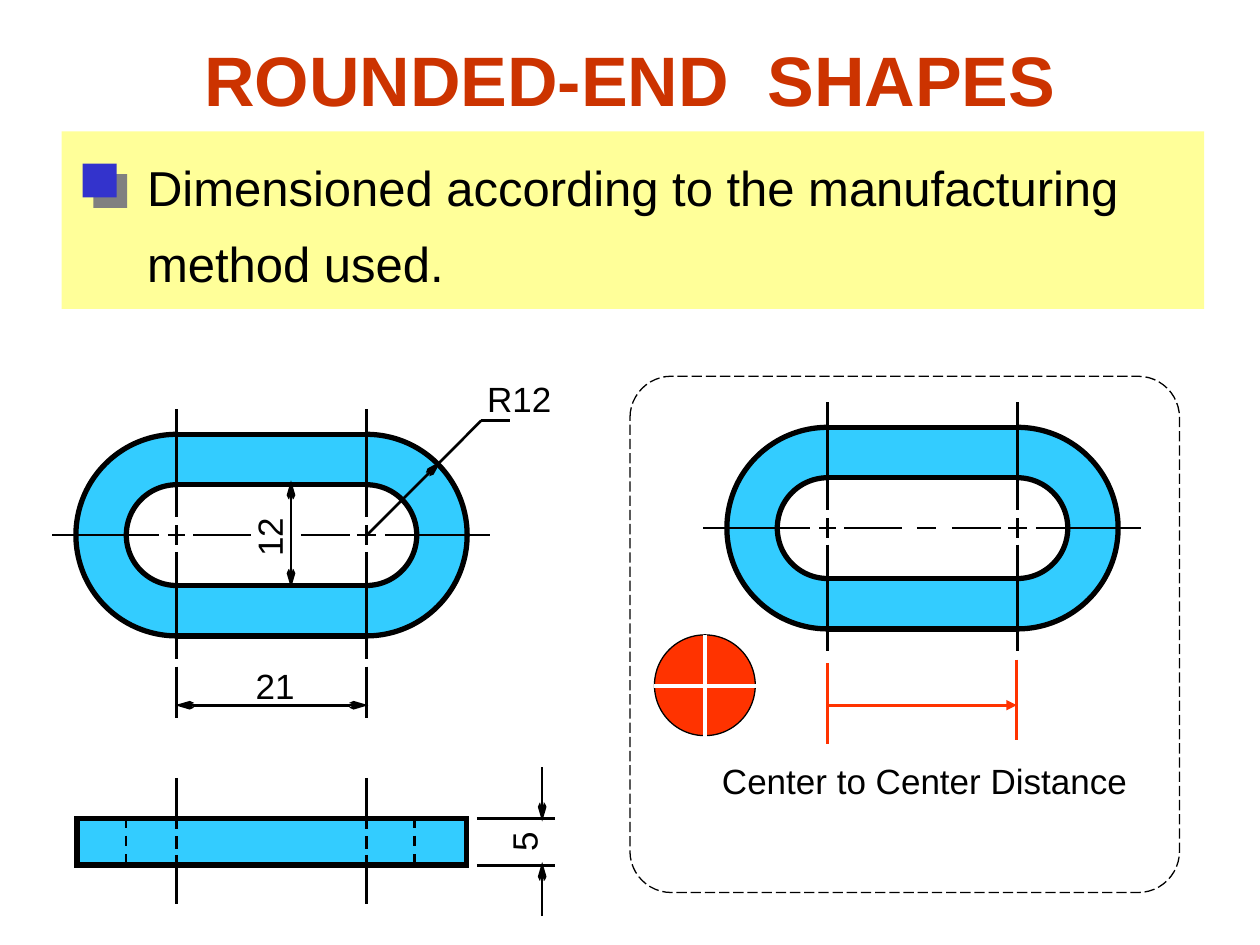
from lxml import etree
from pptx import Presentation
from pptx.dml.color import RGBColor
from pptx.enum.dml import MSO_LINE
from pptx.enum.shapes import MSO_CONNECTOR, MSO_SHAPE
from pptx.enum.text import MSO_ANCHOR, PP_ALIGN
from pptx.oxml.ns import qn
from pptx.util import Pt

STRAIGHT = MSO_CONNECTOR.STRAIGHT
RECT, OVAL, ARC = MSO_SHAPE.RECTANGLE, MSO_SHAPE.OVAL, MSO_SHAPE.ARC
ROUND = MSO_SHAPE.ROUNDED_RECTANGLE
DASH, LONG = MSO_LINE.DASH, MSO_LINE.LONG_DASH
LEFT, CENTER = PP_ALIGN.LEFT, PP_ALIGN.CENTER
TOP, MIDDLE = MSO_ANCHOR.TOP, MSO_ANCHOR.MIDDLE

BLACK = RGBColor(0x00, 0x00, 0x00)
WHITE = RGBColor(0xFF, 0xFF, 0xFF)
SKY = RGBColor(0x33, 0xCC, 0xFF)
RED = RGBColor(0xFF, 0x33, 0x00)
RUST = RGBColor(0xCC, 0x33, 0x00)
CREAM = RGBColor(0xFF, 0xFF, 0x99)
BLUE = RGBColor(0x33, 0x33, 0xCC)

SLIM = {"type": "arrow", "w": "sm", "len": "lg"}
SOLID = {"type": "triangle"}

deck = Presentation()
deck.slide_width, deck.slide_height = Pt(720), Pt(540)
slide = deck.slides.add_slide(deck.slide_layouts[6])
shapes = slide.shapes


def line(x1, y1, x2, y2, color=BLACK, width=1.5, dash=None, head=None, tail=None):
    item = shapes.add_connector(STRAIGHT, Pt(x1), Pt(y1), Pt(x2), Pt(y2))
    item.line.color.rgb = color
    item.line.width = Pt(width)
    if dash:
        item.line.dash_style = dash
    props = item.element.spPr
    for tag, tip in (("a:headEnd", head), ("a:tailEnd", tail)):
        if tip:
            etree.SubElement(props.find(qn("a:ln")), qn(tag), **tip)
    etree.SubElement(props, qn("a:effectLst"))


def block(kind, x, y, wide, high, fill, edge=None, width=0.75):
    """Add a preset shape, where None means no fill or no outline."""
    item = shapes.add_shape(kind, Pt(x), Pt(y), Pt(wide), Pt(high))
    item.shadow.inherit = False
    if fill is None:
        item.fill.background()
    else:
        item.fill.solid()
        item.fill.fore_color.rgb = fill
    if edge is None:
        item.line.fill.background()
    else:
        item.line.color.rgb = edge
        item.line.width = Pt(width)
    return item


# Two slotted links: rings first, then centre lines
SPAN, OUTER, INNER = 108.4, 57.6, 28.8
UP, BOTTOM = 162, 54  # arc angles of 270 and 90 degrees
ACROSS = [(-71, -10), (-5, 5), (9.5, 42.5), (71, 99), (103, 114), (119, 179)]
DOWN = [(-72, -10.5), (-5.5, 5.5), (9.5, 70.5)]
LINKS = [(101, 305.8, ACROSS), (473, 301.8, ACROSS + [(51, 62)])]

for left, mid, marks in LINKS:
    ends = ((left, BOTTOM, UP), (left + SPAN, UP, BOTTOM))
    for rad, fill in ((OUTER, SKY), (INNER, WHITE)):
        block(RECT, left - 1, mid - rad, SPAN + 2, 2 * rad, fill)
        for x, start, end in ends:
            arc = block(ARC, x - rad, mid - rad, 2 * rad, 2 * rad, fill, BLACK, 3)
            arc.adjustments[0], arc.adjustments[1] = start, end
        for y in (mid - rad, mid + rad):
            line(left, y, left + SPAN, y, width=3)
    for start, end in marks:
        line(left + start, mid, left + end, mid)
    for x in (left, left + SPAN):
        for start, end in DOWN:
            line(x, mid + start, x, mid + end)

# Side view of the left link
side = block(RECT, 44, 467.6, 222.5, 26.7, SKY, BLACK, 3)
etree.SubElement(side.element.spPr.find(qn("a:ln")), qn("a:miter"), lim="800000")
for x in (72, 237):
    line(x, 467, x, 495, dash=DASH)
for x in (101, 209.4):
    for start, end in ((444.5, 474), (478, 485), (488.5, 516.5)):
        line(x, start, x, end)

# Dimensions: radius, length, thickness, slot width
line(209.4, 306, 252, 263.5, tail=SLIM)
line(250.5, 265, 275, 240.3)
line(275, 240.3, 291.5, 240.3)
for x in (101, 209.4):
    line(x, 381, x, 410.5)
line(100, 403, 210.5, 403, head=SLIM, tail=SLIM)
for y in (467.6, 494.5):
    line(272.5, y, 317, y)
line(309.8, 438.5, 309.8, 469.5, tail=SLIM)
line(309.8, 523.5, 309.8, 492.5, tail=SLIM)
line(166.3, 336, 166.3, 274.5, head=SLIM, tail=SLIM)

# Yellow band with its shadowed square bullet
block(RECT, 35.2, 75, 653, 101.5, CREAM)
mark = block(RECT, 47.3, 93.5, 19.4, 19.4, BLUE)
cast = etree.SubElement(mark.element.spPr.find(qn("a:effectLst")), qn("a:outerShdw"),
                        dist=str(Pt(8.5)), dir="2700000", algn="ctr", rotWithShape="0")
etree.SubElement(cast, qn("a:srgbClr"), val="808080")

# Centre distance and the red target
for x, start, end in ((473, 379, 425), (581, 377, 423)):
    line(x, start, x, end, RED)
line(473, 403, 581, 403, RED, tail=SOLID)
block(OVAL, 374, 362.8, 57.6, 57.6, RED, BLACK)
line(403, 363, 403, 421, WHITE, 2.25)
line(374, 392, 432, 392, WHITE, 2.25)

frame = block(ROUND, 360, 215, 314, 295, None, BLACK)
frame.adjustments[0] = 0.08
frame.line.dash_style = LONG

# Texts: lines, left, top, width, height, turn, size, colour
TEXTS = [
    (["ROUNDED-END  SHAPES"], 54, 0, 612, 90, 0, 40, RUST),
    (["Dimensioned according to the manufacturing", "method used."],
     77, 76.3, 577, 95, 0, 28, BLACK),
    (["R12"], 271.3, 212.2, 51, 31.5, 0, 20, BLACK),
    (["21"], 139, 376, 36.7, 31.5, 0, 20, BLACK),
    (["5"], 286.7, 465, 25.5, 31.5, 270, 20, BLACK),
    (["12"], 135.5, 291, 36.7, 31.5, 270, 20, BLACK),
    (["Center to Center Distance"], 405.5, 430.7, 246, 31.5, 0, 20, BLACK),
]
for words, x, y, wide, high, turn, size, color in TEXTS:
    box = shapes.add_textbox(Pt(x), Pt(y), Pt(wide), Pt(high))
    box.rotation = turn
    title = size == 40
    body = box.text_frame
    body.word_wrap = title
    body.vertical_anchor = MIDDLE if title else TOP
    body.text = "\n".join(words)
    style = {"name": "Arial", "size": Pt(size), "bold": title}
    for para in body.paragraphs:
        para.alignment = CENTER if title else LEFT
        para.line_spacing = 1.3 if size == 28 else 1.0
        para.font.color.rgb = color
        for key, value in style.items():
            setattr(para.font, key, value)

deck.save("out.pptx")
